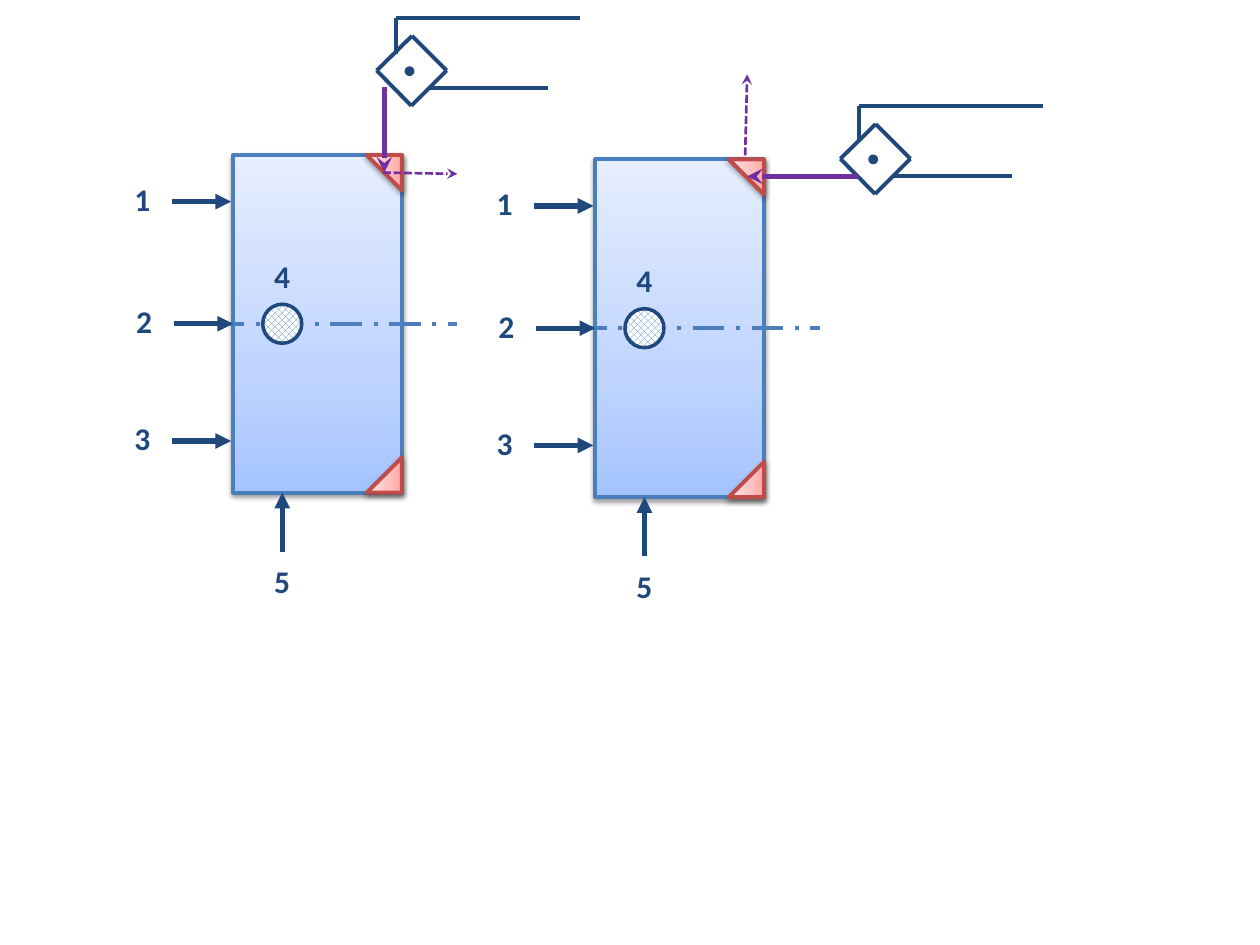
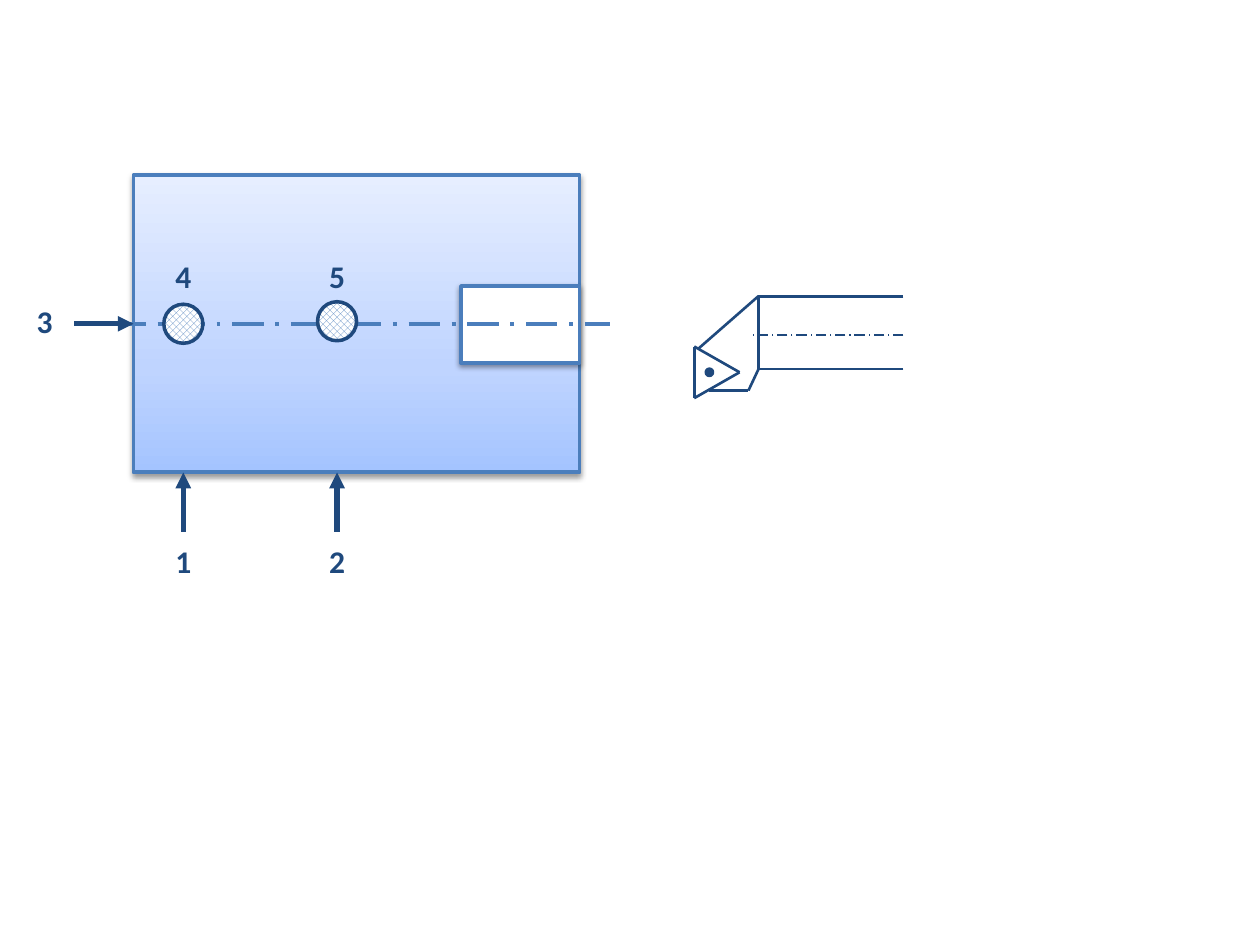
from dataclasses import dataclass
from itertools import pairwise

from lxml import etree
from pptx import Presentation
from pptx.dml.color import RGBColor
from pptx.enum.dml import MSO_LINE, MSO_PATTERN
from pptx.enum.shapes import MSO_CONNECTOR, MSO_SHAPE
from pptx.enum.text import MSO_AUTO_SIZE, PP_ALIGN
from pptx.oxml.ns import qn
from pptx.shapes.autoshape import Shape
from pptx.shapes.connector import Connector
from pptx.slide import Slide
from pptx.util import Emu, Inches, Pt

RECTANGLE, OVAL, CORNER = MSO_SHAPE.RECTANGLE, MSO_SHAPE.OVAL, MSO_SHAPE.RIGHT_TRIANGLE
STRAIGHT = MSO_CONNECTOR.STRAIGHT
CHAIN, DASHES = MSO_LINE.LONG_DASH_DOT, MSO_LINE.SQUARE_DOT
DIAMONDS = MSO_PATTERN.OUTLINED_DIAMOND
CENTER, GROW = PP_ALIGN.CENTER, MSO_AUTO_SIZE.SHAPE_TO_FIT_TEXT
LEFT_SIDE = 1

SLIDE_WIDTH, SLIDE_HEIGHT = Inches(10), Inches(7.5)
CELL = SLIDE_WIDTH // 100  # grid of 100 columns by 75 rows

Point = tuple[float, float]


@dataclass(frozen=True)
class Theme:
    ink: str = "1F497D"
    edge: str = "4B7EBC"
    pattern: str = "4F81BD"
    paper: str = "FFFFFF"
    feed: str = "7030A0"
    cut_edge: str = "BF4C48"
    stock: tuple[str, str, str] = ("A4C4FF", "BFD4FF", "E6EEFF")
    cut: tuple[str, str, str] = ("FFA6A5", "FFC0BF", "FFE7E7")
    font: str = "Calibri"
    label_size: float = 18
    outline: float = 2.25
    pin_outline: float = 2
    bold_line: float = 3
    light_line: float = 1.5
    hairline: float = 0.75


THEME = Theme()


@dataclass(frozen=True)
class Stroke:
    color: str
    width: float
    dash: MSO_LINE | None = None
    arrow: str | None = None


AXIS = Stroke(THEME.edge, THEME.outline, CHAIN)
LOCATOR = Stroke(THEME.ink, THEME.bold_line, arrow="triangle")
TOOL = Stroke(THEME.ink, THEME.outline)
BORING_TOOL = Stroke(THEME.ink, THEME.light_line)
BAR_AXIS = Stroke(THEME.ink, THEME.hairline, CHAIN)
FEED = Stroke(THEME.feed, THEME.bold_line, arrow="stealth")
RETRACT = Stroke(THEME.feed, THEME.light_line, DASHES, "stealth")


@dataclass(frozen=True)
class Locator:
    """Numbered arrow pressing on the workpiece at its tip."""
    number: str
    tip: Point
    upward: bool = False


@dataclass(frozen=True)
class Pin:
    """Numbered round support, set near the workpiece axis."""
    number: str
    x: float
    axis: float
    rise: float = 0


LOCATOR_LENGTH = 4.7
LABEL_WIDTH, LABEL_HEIGHT = 4.7, 4
PIN_SIZE, DOT_SIZE = 3.1, 0.5


def cells(count: float) -> Emu:
    return Emu(round(count * CELL))


def shift(point: Point, offset: Point) -> Point:
    return point[0] + offset[0], point[1] + offset[1]


# Basic parts
def draw_line(slide: Slide, start: Point, end: Point, stroke: Stroke) -> Connector:
    line = slide.shapes.add_connector(STRAIGHT, *map(cells, (*start, *end)))
    line.line.color.rgb = RGBColor.from_string(stroke.color)
    line.line.width = Pt(stroke.width)
    if stroke.dash is not None:
        line.line.dash_style = stroke.dash
    properties = line._element.spPr
    if stroke.arrow:
        etree.SubElement(properties.find(qn("a:ln")), qn("a:tailEnd"), type=stroke.arrow)
    etree.SubElement(properties, qn("a:effectLst"))
    return line


def draw_path(slide: Slide, points: list[Point], stroke: Stroke) -> None:
    for start, end in pairwise(points):
        draw_line(slide, start, end, stroke)


def draw_shape(slide: Slide, kind: MSO_SHAPE, corner: Point, size: Point,
               edge: str, outline: float) -> Shape:
    shape = slide.shapes.add_shape(kind, *map(cells, (*corner, *size)))
    shape.shadow.inherit = False
    shape.line.color.rgb = RGBColor.from_string(edge)
    shape.line.width = Pt(outline)
    return shape


def fill_solid(shape: Shape, color: str) -> None:
    shape.fill.solid()
    shape.fill.fore_color.rgb = RGBColor.from_string(color)


def fill_gradient(shape: Shape, colors: tuple[str, str, str]) -> None:
    shape.fill.gradient()
    shape.fill.gradient_angle = 90
    stops = shape._element.spPr.find(qn("a:gradFill")).find(qn("a:gsLst"))
    del stops[:]
    for position, color in zip((0, 35, 100), colors):
        stop = etree.SubElement(stops, qn("a:gs"), pos=str(position * 1000))
        etree.SubElement(stop, qn("a:srgbClr"), val=color)


def cast_shadow(shape: Shape) -> None:
    effects = shape._element.spPr.find(qn("a:effectLst"))
    shadow = etree.SubElement(effects, qn("a:outerShdw"), blurRad=str(Pt(3.1)),
                              dist=str(Pt(1.6)), dir="5400000", rotWithShape="0")
    color = etree.SubElement(shadow, qn("a:srgbClr"), val="000000")
    etree.SubElement(color, qn("a:alpha"), val="38000")


def draw_label(slide: Slide, number: str, corner: Point) -> None:
    label = slide.shapes.add_textbox(*map(cells, (*corner, LABEL_WIDTH, LABEL_HEIGHT)))
    label.text_frame.word_wrap = True
    label.text_frame.auto_size = GROW
    paragraph = label.text_frame.paragraphs[0]
    paragraph.text = number
    paragraph.alignment = CENTER
    paragraph.font.name = THEME.font
    paragraph.font.size = Pt(THEME.label_size)
    paragraph.font.bold = True
    paragraph.font.color.rgb = RGBColor.from_string(THEME.ink)


# Parts of the clamping sketches
def draw_workpiece(slide: Slide, corner: Point, size: Point) -> Shape:
    workpiece = draw_shape(slide, RECTANGLE, corner, size, THEME.edge, THEME.outline)
    fill_gradient(workpiece, THEME.stock)
    cast_shadow(workpiece)
    return workpiece


def draw_locator(slide: Slide, locator: Locator) -> Connector:
    if locator.upward:
        tail = shift(locator.tip, (0, LOCATOR_LENGTH))
        label = shift(tail, (-LABEL_WIDTH / 2, 0.35))
    else:
        tail = shift(locator.tip, (-LOCATOR_LENGTH, 0))
        label = shift(tail, (-LABEL_WIDTH, -2.2))
    draw_label(slide, locator.number, label)
    return draw_line(slide, tail, locator.tip, LOCATOR)


def draw_pin(slide: Slide, pin: Pin) -> None:
    corner = (pin.x - PIN_SIZE / 2, pin.axis - pin.rise - PIN_SIZE / 2)
    support = draw_shape(slide, OVAL, corner, (PIN_SIZE, PIN_SIZE),
                         THEME.ink, THEME.pin_outline)
    support.fill.patterned()
    support.fill.pattern = DIAMONDS
    support.fill.fore_color.rgb = RGBColor.from_string(THEME.pattern)
    support.fill.back_color.rgb = RGBColor.from_string(THEME.paper)
    draw_label(slide, pin.number, (pin.x - LABEL_WIDTH / 2, pin.axis - 5.8))


def draw_dot(slide: Slide, center: Point) -> None:
    corner = shift(center, (-DOT_SIZE / 2, -DOT_SIZE / 2))
    dot = draw_shape(slide, OVAL, corner, (DOT_SIZE, DOT_SIZE),
                     THEME.ink, THEME.pin_outline)
    fill_solid(dot, THEME.ink)


def draw_chamfer(slide: Slide, corner: Point, rotation: int, flipped: bool) -> None:
    chamfer = draw_shape(slide, CORNER, corner, (2.8, 2.8), THEME.cut_edge, THEME.outline)
    fill_gradient(chamfer, THEME.cut)
    cast_shadow(chamfer)
    chamfer.rotation = rotation
    if flipped:
        chamfer._element.spPr.find(qn("a:xfrm")).set("flipV", "1")


def draw_turning_tool(slide: Slide, tip: Point) -> None:
    insert = [(0, 0), (2.8, -2.75), (5.55, 0), (2.75, 2.8), (0, 0)]
    shank_top = [(1.5, -1.3), (1.5, -4.2), (16.1, -4.2)]
    shank_bottom = [(4.2, 1.35), (13.6, 1.35)]
    for outline in (insert, shank_top, shank_bottom):
        draw_path(slide, [shift(point, tip) for point in outline], TOOL)
    draw_dot(slide, shift((2.6, 0.05), tip))


def draw_chamfer_setup(slide: Slide, offset: Point) -> None:
    """Workpiece with two chamfers, an axis and five locating points."""
    left, top = shift((18.5, 12.3), offset)
    width, height = 13.4, 26.8
    middle, bottom = top + height / 2, top + height
    pin_x = left + 3.9
    workpiece = draw_workpiece(slide, (left, top), (width, height))
    draw_line(slide, (left - 1.6, middle), (left + 17.8, middle), AXIS)
    draw_locator(slide, Locator("5", (pin_x, bottom), upward=True))
    draw_pin(slide, Pin("4", pin_x, middle))
    draw_locator(slide, Locator("1", (left - 0.15, top + 3.7)))
    middle_locator = draw_locator(slide, Locator("2", (left, middle)))
    middle_locator.end_connect(workpiece, LEFT_SIDE)
    draw_locator(slide, Locator("3", (left - 0.15, top + 22.7)))
    chamfer_x = left + width - 2.8
    draw_chamfer(slide, (chamfer_x, top), 90, flipped=True)
    draw_chamfer(slide, (chamfer_x, bottom - 2.8), 270, flipped=False)


# Slides
def build_chamfering(slide: Slide) -> None:
    # Radial retract, hidden in part behind the right workpiece
    draw_line(slide, (59.1, 14), (59.3, 5.9), RETRACT)

    # Radial feed
    draw_chamfer_setup(slide, (0, 0))
    draw_turning_tool(slide, (29.9, 5.6))
    draw_line(slide, (30.5, 6.9), (30.5, 13.7), FEED)
    draw_line(slide, (30.4, 13.7), (36.3, 13.8), RETRACT)

    # Axial feed
    draw_chamfer_setup(slide, (28.75, 0.35))
    draw_turning_tool(slide, (66.7, 12.6))
    draw_line(slide, (68.1, 14), (59.3, 14), FEED)


def build_boring(slide: Slide) -> None:
    # Workpiece, bore and axis
    left, top, width, height = 10.6, 13.9, 35.4, 23.6
    middle, bottom = top + height / 2, top + height
    workpiece = draw_workpiece(slide, (left, top), (width, height))
    bore = draw_shape(slide, RECTANGLE, (36.6, 22.7), (9.4, 6.1),
                      THEME.edge, THEME.outline)
    fill_solid(bore, THEME.paper)
    cast_shadow(bore)
    draw_line(slide, (left - 1.5, middle), (48.4, middle), AXIS)

    # Locating points
    near_x, far_x = 14.55, 26.75
    draw_locator(slide, Locator("1", (near_x, bottom), upward=True))
    draw_locator(slide, Locator("2", (far_x, bottom), upward=True))
    end_stop = draw_locator(slide, Locator("3", (left, middle)))
    end_stop.end_connect(workpiece, LEFT_SIDE)
    draw_pin(slide, Pin("4", near_x, middle))
    draw_pin(slide, Pin("5", far_x, middle, rise=0.2))

    # Boring tool
    insert = [(58.7, 29.55), (55.1, 31.6), (55.1, 27.5), (58.7, 29.55)]
    head = [(56.3, 31), (59.4, 31), (60.2, 29.3), (60.2, 23.5), (55.4, 27.7)]
    bar_end = 71.7
    bar_edges = [[(bar_end, y), (60.2, y)] for y in (23.55, 29.3)]
    for outline in (insert, head, *bar_edges):
        draw_path(slide, outline, BORING_TOOL)
    draw_line(slide, (bar_end, 26.6), (59.8, 26.6), BAR_AXIS)
    draw_dot(slide, (56.3, 29.55))


def main() -> None:
    deck = Presentation()
    deck.slide_width, deck.slide_height = SLIDE_WIDTH, SLIDE_HEIGHT
    blank = deck.slide_layouts[6]
    for build in (build_chamfering, build_boring):
        build(deck.slides.add_slide(blank))
    deck.save("out.pptx")


if __name__ == "__main__":
    main()
